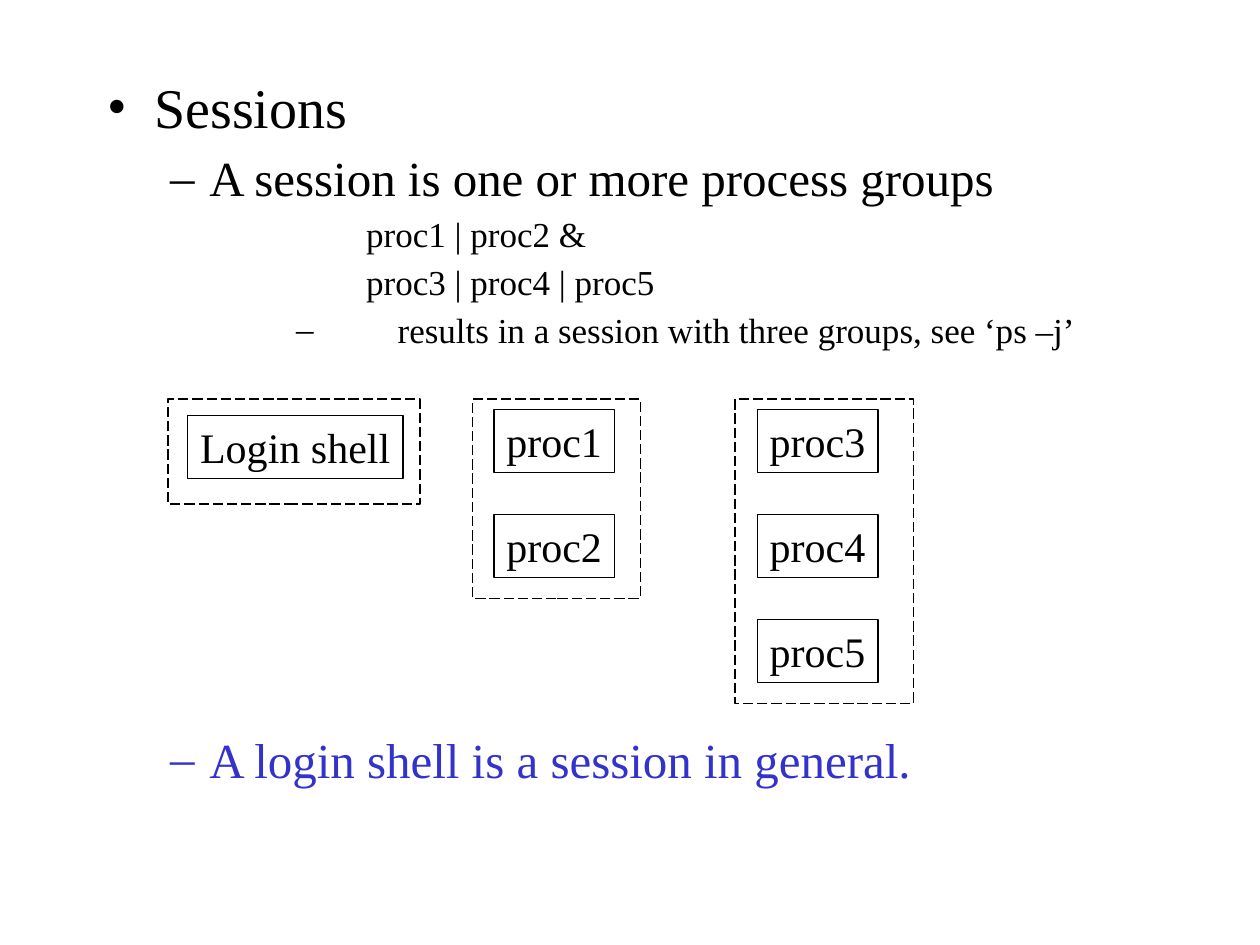
from lxml.etree import SubElement
from pptx import Presentation
from pptx.dml.color import RGBColor as RGB
from pptx.enum.dml import MSO_LINE
from pptx.enum.shapes import MSO_SHAPE as SHAPE
from pptx.enum.text import MSO_ANCHOR as ANCHOR, MSO_AUTO_SIZE as AUTO, PP_ALIGN as ALIGN
from pptx.oxml.ns import qn
from pptx.util import Pt

THEME = {
    "font": "Times New Roman",
    "ink": RGB(0, 0, 0),
    "accent": RGB(0x33, 0x33, 0xCC),
    "topic": 32,
    "point": 28,
    "detail": 20,
    "process": 24,
    "line_spacing": 0.9,
    "gap_ratio": 0.2875,
    "outline": 0.75,
}


def apply(target, **values):
    for name, value in values.items():
        setattr(target, name, value)


def add_box(left, top, width, height):
    box = slide.shapes.add_shape(SHAPE.RECTANGLE, Pt(left), Pt(top), Pt(width), Pt(height))
    box.shadow.inherit = False
    box.fill.background()
    box.line.color.rgb = THEME["ink"]
    box.line.width = Pt(THEME["outline"])
    return box


deck = Presentation()
apply(deck, slide_width=Pt(720), slide_height=Pt(540))
slide = deck.slides.add_slide(deck.slide_layouts[1])
heading = slide.shapes.title
heading.element.getparent().remove(heading.element)

outline = slide.placeholders[1]
apply(outline, left=Pt(54), top=Pt(42), width=Pt(618), height=Pt(438))
apply(outline.text_frame, word_wrap=True, auto_size=AUTO.NONE, vertical_anchor=ANCHOR.TOP)

DIAGRAM_GAP = 212
points = [
    ("Sessions", 0, "topic", "ink", "•", 27, -27, 0),
    ("A session is one or more process groups", 1, "point", "ink", "–", 58.5, -22.5, 0),
    ("proc1 | proc2 &", 3, "detail", "ink", None, 148, 0, 0),
    ("proc3 | proc4 | proc5", 3, "detail", "ink", None, 148, 0, 0),
    ("results in a session with three groups, see ‘ps –j’", 3, "detail", "ink", "–", 166, -58, 0),
    ("A login shell is a session in general.", 1, "point", "accent", "–", 58.5, -22.5, DIAGRAM_GAP),
]
for number, (words, level, size, color, bullet, margin, indent, gap) in enumerate(points):
    frame = outline.text_frame
    point = frame.add_paragraph() if number else frame.paragraphs[0]
    apply(point, level=level, alignment=ALIGN.LEFT, line_spacing=THEME["line_spacing"],
          space_before=Pt(THEME[size] * THEME["gap_ratio"] + gap), space_after=Pt(0))
    wording = point.add_run()
    wording.text = words
    apply(wording.font, name=THEME["font"], size=Pt(THEME[size]))
    wording.font.color.rgb = THEME[color]
    layout = point._p.get_or_add_pPr()
    layout.set("marL", str(Pt(margin)))
    layout.set("indent", str(Pt(indent)))
    if bullet:
        tint = SubElement(layout, qn("a:buClr"))
        SubElement(tint, qn("a:srgbClr"), val=str(THEME[color]))
        SubElement(layout, qn("a:buFont"), typeface=THEME["font"])
        SubElement(layout, qn("a:buChar"), char=bullet)
    else:
        SubElement(layout, qn("a:buNone"))

GROUP_TOP, ROW_STEP, PROCESS_HEIGHT = 228, 60, 36
groups = [
    (96, 144, 60, 107.25, 123, 237.5, ["Login shell"]),
    (270, 96, 114, 282.25, 69, 234, ["proc1", "proc2"]),
    (420, 102, 174, 432.75, 69, 234, ["proc3", "proc4", "proc5"]),
]
for left, width, height, process_left, process_width, first_top, processes in groups:
    group = add_box(left, GROUP_TOP, width, height)
    group.line.dash_style = MSO_LINE.LONG_DASH
    for row, process_name in enumerate(processes):
        process = add_box(process_left, first_top + row * ROW_STEP, process_width, PROCESS_HEIGHT)
        apply(process.text_frame, word_wrap=False, auto_size=AUTO.SHAPE_TO_FIT_TEXT,
              vertical_anchor=ANCHOR.TOP)
        label = process.text_frame.paragraphs[0]
        label.alignment = ALIGN.LEFT
        wording = label.add_run()
        wording.text = process_name
        apply(wording.font, name=THEME["font"], size=Pt(THEME["process"]))
        wording.font.color.rgb = THEME["ink"]

deck.save("out.pptx")
